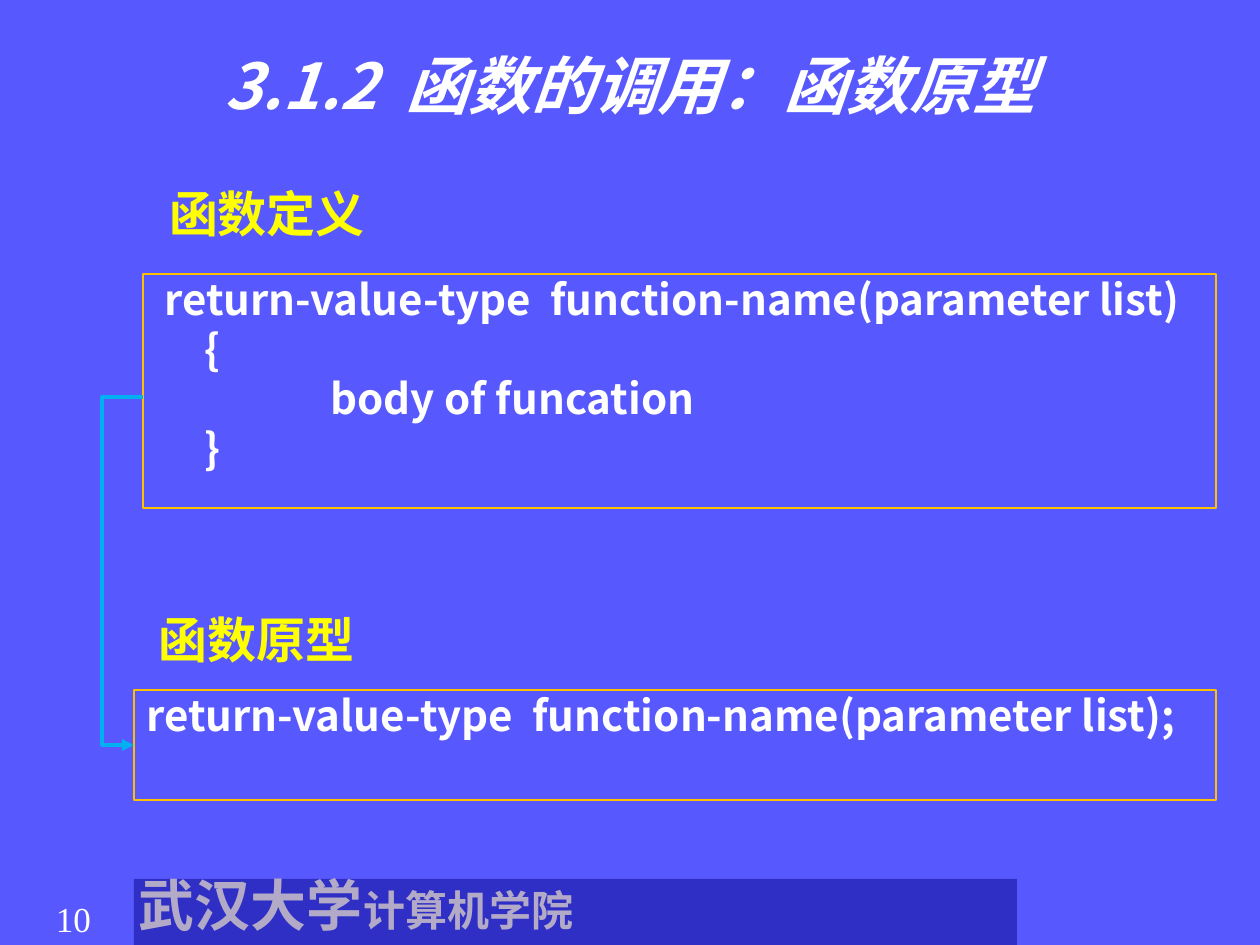
from dataclasses import dataclass

from pptx import Presentation
from pptx.dml.color import RGBColor
from pptx.enum.shapes import MSO_CONNECTOR, MSO_SHAPE
from pptx.enum.text import PP_ALIGN as Align
from pptx.oxml.ns import qn
from pptx.util import Pt
from lxml.etree import SubElement

PX = 7257  # EMU per px, 126 px to the inch


@dataclass(frozen=True)
class Theme:
    background: str = "5858FF"
    text: str = "FFFFFF"
    heading: str = "FFFF00"
    border: str = "FFC000"
    arrow: str = "00B0F0"
    footer_fill: str = "2F2FC5"
    footer_text: str = "B3AAC8"
    font: str = "Noto Sans CJK SC"
    number_font: str = "Times New Roman"
    title_size: int = 36
    heading_size: int = 28
    code_size: int = 24
    number_size: int = 20
    school_size: int = 32
    college_size: int = 24
    tight: float = 0.88


THEME = Theme()


@dataclass(frozen=True)
class Box:
    left: int
    top: int
    width: int
    height: int

    @property
    def middle(self) -> int:
        return self.top + self.height // 2

    def emu(self) -> list[int]:
        return [v * PX for v in (self.left, self.top, self.width, self.height)]


@dataclass(frozen=True)
class Line:
    text: str
    indent: int = 0


@dataclass(frozen=True)
class Section:
    heading: str
    heading_box: Box
    code_box: Box
    lines: tuple[Line, ...]


def color(value: str) -> RGBColor:
    return RGBColor.from_string(value)


def style_run(run, size: int, rgb: str, font: str = THEME.font,
              bold: bool = True, italic: bool = False) -> None:
    run.font.size = Pt(size)
    run.font.bold = bold
    run.font.italic = italic
    run.font.color.rgb = color(rgb)
    run.font.name = font
    SubElement(run.font._element, qn("a:ea")).set("typeface", font)


def indent(paragraph, px: int) -> None:
    properties = paragraph._p.get_or_add_pPr()
    properties.set("marL", str(px * PX))
    properties.set("indent", "0")


def add_text(slide, box: Box, text: str, size: int, rgb: str,
             align=Align.LEFT, **style):
    shape = slide.shapes.add_textbox(*box.emu())
    shape.text_frame.word_wrap = True
    shape.text_frame.text = text
    paragraph = shape.text_frame.paragraphs[0]
    paragraph.alignment = align
    style_run(paragraph.runs[0], size, rgb, **style)
    return shape


def add_section(slide, section: Section) -> None:
    heading = add_text(slide, section.heading_box, section.heading,
                       THEME.heading_size, THEME.heading)
    heading.text_frame.margin_left = heading.text_frame.margin_right = 0
    indent(heading.text_frame.paragraphs[0], 25)

    frame = slide.shapes.add_textbox(*section.code_box.emu())
    frame.line.color.rgb = color(THEME.border)
    frame.line.width = Pt(1.5)
    frame.text_frame.word_wrap = True
    frame.text_frame.text = "\n".join(line.text for line in section.lines)
    for number, line in enumerate(section.lines):
        paragraph = frame.text_frame.paragraphs[number]
        indent(paragraph, line.indent)
        paragraph.line_spacing = THEME.tight
        if number:
            paragraph.space_before = Pt(3)
        style_run(paragraph.runs[0], THEME.code_size, THEME.text)


def add_arrow(slide, start: Box, end: Box, bend_x: int) -> None:
    connector = slide.shapes.add_connector(
        MSO_CONNECTOR.ELBOW, start.left * PX, start.middle * PX,
        end.left * PX, end.middle * PX)
    connector.line.color.rgb = color(THEME.arrow)
    connector.line.width = Pt(2.25)
    properties = connector._element.spPr
    SubElement(connector.line._get_or_add_ln(), qn("a:tailEnd")).set("type", "triangle")
    SubElement(properties, qn("a:effectLst"))
    # Place the vertical run to the left of both boxes
    ratio = (start.left - bend_x) / (start.left - end.left)
    guide = SubElement(properties.find(qn("a:prstGeom")).get_or_add_avLst(), qn("a:gd"))
    guide.set("name", "adj1")
    guide.set("fmla", f"val {round(ratio * 100000)}")


def add_footer(slide, box: Box) -> None:
    shape = slide.shapes.add_shape(MSO_SHAPE.RECTANGLE, *box.emu())
    shape.shadow.inherit = False
    shape.fill.solid()
    shape.fill.fore_color.rgb = color(THEME.footer_fill)
    shape.line.fill.background()
    frame = shape.text_frame
    frame.margin_left = frame.margin_right = 5 * PX
    frame.margin_top = frame.margin_bottom = 0
    frame.vertical_anchor = 1
    paragraph = frame.paragraphs[0]
    paragraph.alignment = Align.JUSTIFY
    paragraph.line_spacing = THEME.tight
    for text, size in (("武汉大学", THEME.school_size),
                       ("计算机学院", THEME.college_size)):
        run = paragraph.add_run()
        run.text = text
        style_run(run, size, THEME.footer_text)


DEFINITION = Section(
    "函数定义", Box(144, 177, 287, 84), Box(143, 274, 1073, 234),
    (Line("return-value-type  function-name(parameter list)", 9),
     Line("{", 49), Line("body of funcation", 175), Line("}", 49)))
PROTOTYPE = Section(
    "函数原型", Box(134, 603, 287, 84), Box(134, 690, 1082, 110),
    (Line("return-value-type  function-name(parameter list);"),))


def main() -> None:
    presentation = Presentation()
    presentation.slide_width, presentation.slide_height = 1260 * PX, 945 * PX
    slide = presentation.slides.add_slide(presentation.slide_layouts[6])
    slide.background.fill.solid()
    slide.background.fill.fore_color.rgb = color(THEME.background)

    # Footer and page number
    add_text(slide, Box(21, 891, 105, 54), "10", THEME.number_size, THEME.text,
             Align.CENTER, font=THEME.number_font, bold=False)
    add_footer(slide, Box(134, 879, 883, 66))

    # Title
    title = add_text(slide, Box(87, 50, 1086, 183), "3.1.2  函数的调用：函数原型",
                     THEME.title_size, THEME.text, Align.CENTER, italic=True)
    title.text_frame.paragraphs[0].line_spacing = THEME.tight

    # Definition, prototype and the arrow between them
    for section in (DEFINITION, PROTOTYPE):
        add_section(slide, section)
    add_arrow(slide, Box(143, 274, 1073, 247), PROTOTYPE.code_box, 102)

    presentation.save("out.pptx")


if __name__ == "__main__":
    main()
